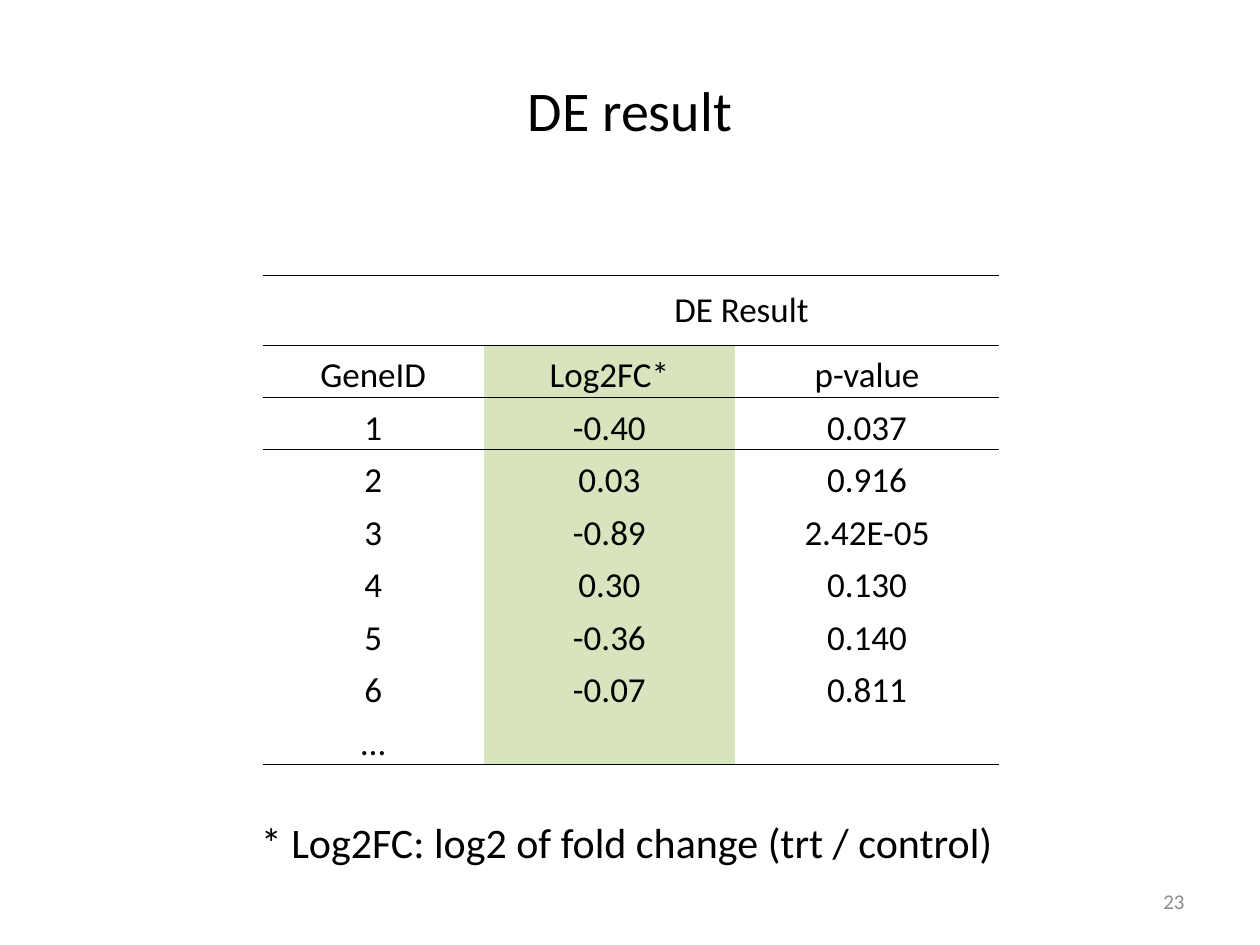
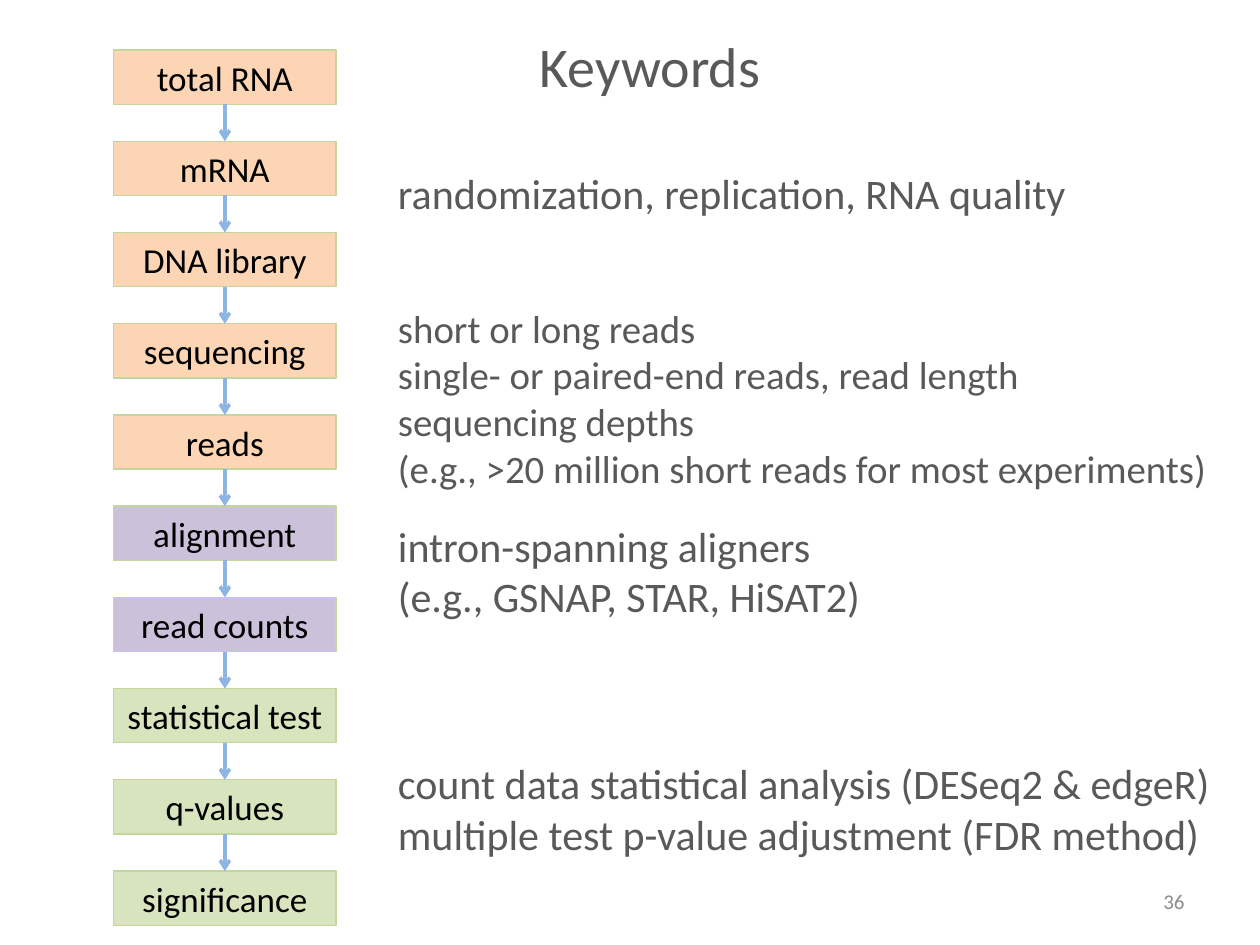
from dataclasses import dataclass
from itertools import pairwise

import pptx
import pptx.dml.color
import pptx.enum.shapes
import pptx.enum.text
import pptx.oxml
import pptx.oxml.ns
import pptx.presentation
import pptx.shapes.autoshape
import pptx.slide
import pptx.table
import pptx.text.text
import pptx.util

Pt = pptx.util.Pt
Align = pptx.enum.text.PP_ALIGN
Anchor = pptx.enum.text.MSO_ANCHOR


@dataclass(frozen=True)
class Theme:
    font: str = "Calibri"
    black: str = "000000"
    grey: str = "595959"
    number_grey: str = "8C8C8C"
    orange: str = "FCD5B5"
    purple: str = "CCC1DA"
    green: str = "D7E4BD"
    outline: str = "C3D69B"
    arrow: str = "8EB4E3"
    title_size: float = 32
    body_size: float = 24
    tight_body_size: float = 22.2
    label_size: float = 20
    number_size: float = 12


THEME = Theme()


@dataclass(frozen=True)
class TextBlock:
    left: float
    top: float
    width: float
    height: float
    lines: tuple[str, ...]
    size: float = THEME.body_size
    color: str = THEME.grey
    align: Align = Align.LEFT
    wrap: bool = True


@dataclass(frozen=True)
class Step:
    label: str
    fill: str


# Differential expression table
TABLE_LEFT, TABLE_TOP = 150, 157.5
COLUMN_WIDTHS = (126.5, 143.5, 151)
HEADER_HEIGHT, ROW_HEIGHT = 39.6, 30
HIGHLIGHT_COLUMN = 1
NO_GRID_STYLE = "{2D5ABB26-0587-4C30-8999-92F81FD0307C}"
TABLE_ROWS = (
    ("", "DE Result", ""),
    ("GeneID", "Log2FC*", "p-value"),
    ("1", "-0.40", "0.037"),
    ("2", "0.03", "0.916"),
    ("3", "-0.89", "2.42E-05"),
    ("4", "0.30", "0.130"),
    ("5", "-0.36", "0.140"),
    ("6", "-0.07", "0.811"),
    ("…", "", ""),
)

# Workflow column
STEP_LEFT, STEP_TOP = 65, 28.6
STEP_WIDTH, STEP_HEIGHT = 127, 31
STEP_PITCH = 52.13
STAGES = (
    (THEME.orange, ("total RNA", "mRNA", "DNA library", "sequencing", "reads")),
    (THEME.purple, ("alignment", "read counts")),
    (THEME.green, ("statistical test", "q-values", "significance")),
)
STEPS = [Step(label, fill) for fill, labels in STAGES for label in labels]

KEYWORD_LEFT = 220.3
KEYWORDS = (
    TextBlock(KEYWORD_LEFT, 87.5, 422, 45.4, ("randomization, replication, RNA quality",)),
    TextBlock(KEYWORD_LEFT, 165, 490.3, 124.6, (
        "short or long reads",
        "single- or paired-end reads, read length",
        "sequencing depths",
        "(e.g., >20 million short reads for most experiments)",
    ), size=THEME.tight_body_size),
    TextBlock(KEYWORD_LEFT, 289.5, 435, 73.4, (
        "intron-spanning aligners",
        "(e.g., GSNAP, STAR, HiSAT2)",
    )),
    TextBlock(KEYWORD_LEFT, 425, 490.3, 73.4, (
        "count data statistical analysis (DESeq2 & edgeR)",
        "multiple test p-value adjustment (FDR method)",
    )),
)


def rgb(color: str) -> pptx.dml.color.RGBColor:
    return pptx.dml.color.RGBColor.from_string(color)


def format_paragraphs(
    text_frame: pptx.text.text.TextFrame, size: float, color: str, align: Align
) -> None:
    for paragraph in text_frame.paragraphs:
        paragraph.alignment = align
        paragraph.font.name = THEME.font
        paragraph.font.size = Pt(size)
        paragraph.font.color.rgb = rgb(color)
        for run in paragraph.runs:
            run.font.name = THEME.font
            run.font.size = Pt(size)
            run.font.color.rgb = rgb(color)


def add_text(slide: pptx.slide.Slide, block: TextBlock) -> None:
    box = slide.shapes.add_textbox(
        Pt(block.left), Pt(block.top), Pt(block.width), Pt(block.height)
    )
    text_frame = box.text_frame
    text_frame.word_wrap = block.wrap
    text_frame.vertical_anchor = Anchor.MIDDLE
    text_frame.text = "\n".join(block.lines)
    format_paragraphs(text_frame, block.size, block.color, block.align)


def add_title(
    slide: pptx.slide.Slide, title: str, left: float, top: float,
    width: float, height: float, color: str,
) -> None:
    add_text(slide, TextBlock(left, top, width, height, (title,),
                              THEME.title_size, color, Align.CENTER))


def add_slide_number(slide: pptx.slide.Slide, number: int) -> None:
    add_text(slide, TextBlock(516, 500.5, 168, 28.8, (str(number),),
                              THEME.number_size, THEME.number_grey, Align.RIGHT))


def add_rule(cell: pptx.table._Cell, side: str) -> None:
    """Draw a thin black border on one side: lnT or lnB."""
    namespace = pptx.oxml.ns.nsdecls("a")
    border = pptx.oxml.parse_xml(
        f'<a:{side} {namespace} w="{Pt(0.5)}"><a:solidFill>'
        f'<a:srgbClr val="{THEME.black}"/></a:solidFill></a:{side}>'
    )
    cell._tc.get_or_add_tcPr().append(border)


def fill_cell(cell: pptx.table._Cell, text: str, row: int, column: int) -> None:
    last_row = len(TABLE_ROWS) - 1
    if row <= 2:
        add_rule(cell, "lnT")
    if row in (0, 1, last_row):
        add_rule(cell, "lnB")
    if row > 0 and column == HIGHLIGHT_COLUMN:
        cell.fill.solid()
        cell.fill.fore_color.rgb = rgb(THEME.green)
    else:
        cell.fill.background()
    cell.margin_left = cell.margin_right = cell.margin_top = Pt(0.7)
    cell.margin_bottom = Pt(0)
    cell.vertical_anchor = Anchor.MIDDLE if row == 0 else Anchor.BOTTOM
    cell.text_frame.text = text
    format_paragraphs(cell.text_frame, THEME.label_size, THEME.black, Align.CENTER)


def add_result_table(slide: pptx.slide.Slide) -> None:
    heights = [HEADER_HEIGHT] + [ROW_HEIGHT] * (len(TABLE_ROWS) - 1)
    table = slide.shapes.add_table(
        len(TABLE_ROWS), len(COLUMN_WIDTHS), Pt(TABLE_LEFT), Pt(TABLE_TOP),
        Pt(sum(COLUMN_WIDTHS)), Pt(sum(heights)),
    ).table
    table.first_row = table.horz_banding = False
    table._tbl.tblPr.find(pptx.oxml.ns.qn("a:tableStyleId")).text = NO_GRID_STYLE
    for column, width in zip(table.columns, COLUMN_WIDTHS):
        column.width = Pt(width)
    for row, height in zip(table.rows, heights):
        row.height = Pt(height)
    for row_index, texts in enumerate(TABLE_ROWS):
        for column_index, text in enumerate(texts):
            fill_cell(table.cell(row_index, column_index), text, row_index, column_index)
    table.cell(0, 1).merge(table.cell(0, 2))


def add_step(slide: pptx.slide.Slide, step: Step, top: float) -> None:
    shape = slide.shapes.add_shape(
        pptx.enum.shapes.MSO_SHAPE.RECTANGLE,
        Pt(STEP_LEFT), Pt(top), Pt(STEP_WIDTH), Pt(STEP_HEIGHT),
    )
    shape.shadow.inherit = False
    shape.fill.solid()
    shape.fill.fore_color.rgb = rgb(step.fill)
    shape.line.color.rgb = rgb(THEME.outline)
    shape.line.width = Pt(0.75)
    text_frame = shape.text_frame
    text_frame.margin_left = text_frame.margin_right = Pt(0)
    text_frame.margin_top = text_frame.margin_bottom = Pt(0)
    text_frame.vertical_anchor = Anchor.MIDDLE
    text_frame.text = step.label
    format_paragraphs(text_frame, THEME.label_size, THEME.black, Align.CENTER)


def add_down_arrow(slide: pptx.slide.Slide, start: float, end: float) -> None:
    center = Pt(STEP_LEFT + STEP_WIDTH / 2)
    connector = slide.shapes.add_connector(
        pptx.enum.shapes.MSO_CONNECTOR.STRAIGHT, center, Pt(start), center, Pt(end)
    )
    connector.line.color.rgb = rgb(THEME.arrow)
    connector.line.width = Pt(2)
    namespace = pptx.oxml.ns.nsdecls("a")
    connector.line._get_or_add_ln().append(
        pptx.oxml.parse_xml(f'<a:tailEnd {namespace} type="arrow"/>')
    )
    connector._element.spPr.append(pptx.oxml.parse_xml(f"<a:effectLst {namespace}/>"))


def add_workflow(slide: pptx.slide.Slide) -> None:
    tops = [STEP_TOP + index * STEP_PITCH for index in range(len(STEPS))]
    for step, top in zip(STEPS, tops):
        add_step(slide, step, top)
    for top, next_top in pairwise(tops):
        add_down_arrow(slide, top + STEP_HEIGHT, next_top)


def add_blank_slide(presentation: pptx.presentation.Presentation) -> pptx.slide.Slide:
    return presentation.slides.add_slide(presentation.slide_layouts[6])


def build_result_slide(presentation: pptx.presentation.Presentation) -> None:
    slide = add_blank_slide(presentation)
    add_result_table(slide)
    add_text(slide, TextBlock(
        142, 463, 438.5, 36, ("* Log2FC: log2 of fold change (trt / control)",),
        color=THEME.black, wrap=False,
    ))
    add_title(slide, "DE result", 36, 33, 648, 59, THEME.black)
    add_slide_number(slide, 23)


def build_keywords_slide(presentation: pptx.presentation.Presentation) -> None:
    slide = add_blank_slide(presentation)
    add_workflow(slide)
    add_title(slide, "Keywords", 254, 14.4, 235, 45.4, THEME.grey)
    for block in KEYWORDS:
        add_text(slide, block)
    add_slide_number(slide, 36)


def main() -> None:
    presentation = pptx.Presentation()
    presentation.slide_width = Pt(720)
    presentation.slide_height = Pt(540)
    build_result_slide(presentation)
    build_keywords_slide(presentation)
    presentation.save("out.pptx")


if __name__ == "__main__":
    main()
